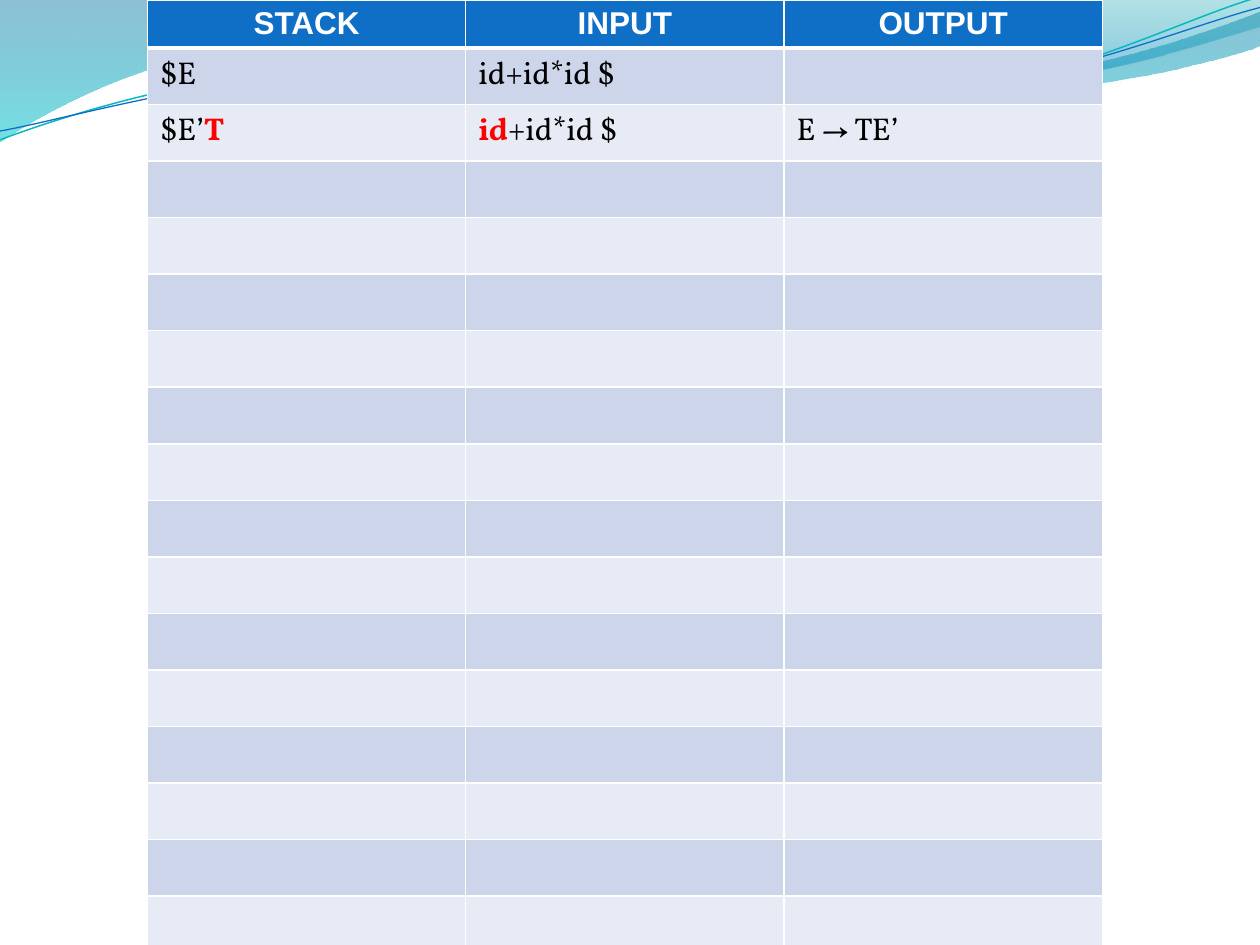
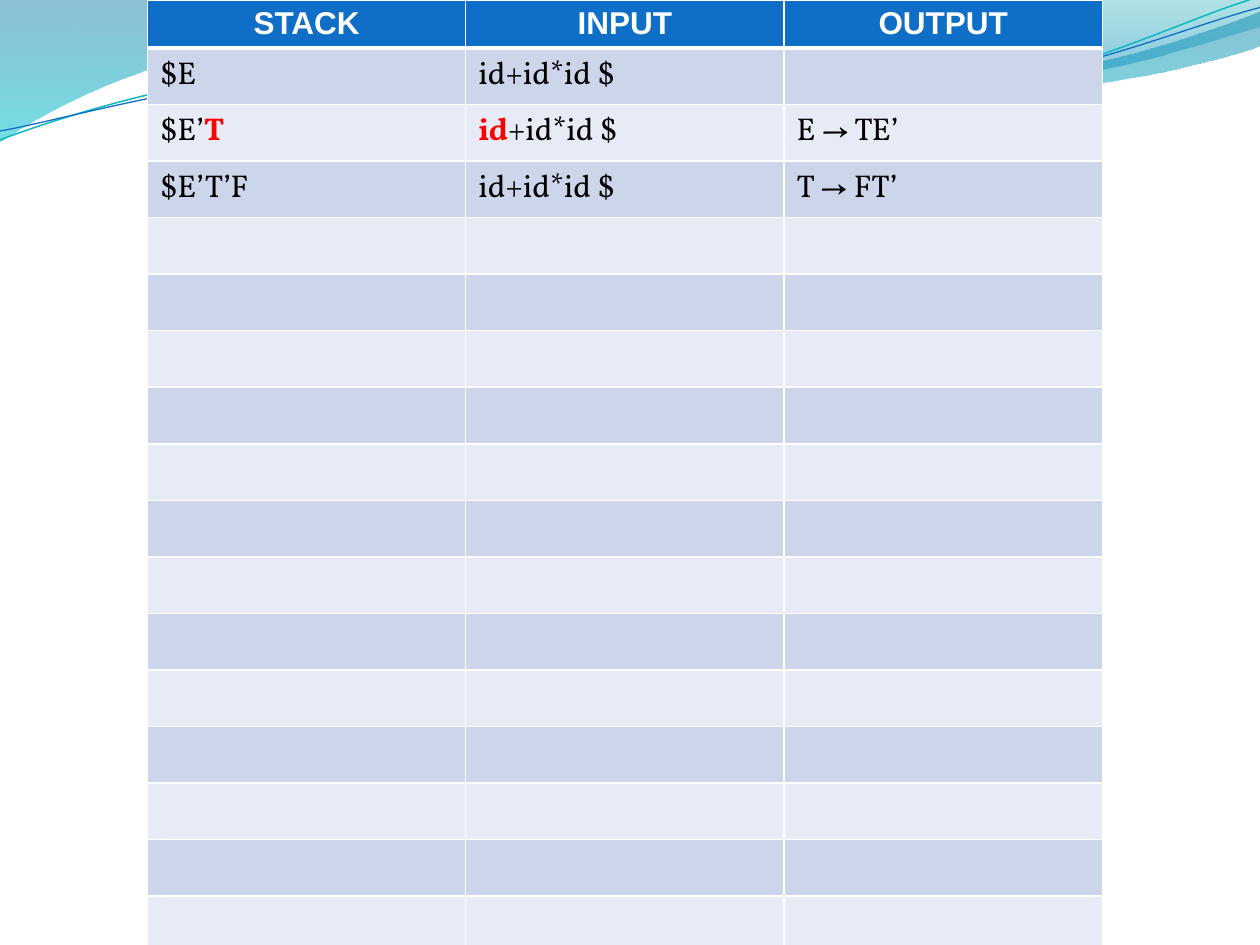
import math

import pptx
import pptx.dml.color
import pptx.enum.text
import pptx.oxml
import pptx.oxml.ns
import pptx.util
from lxml import etree

Inches, Pt = pptx.util.Inches, pptx.util.Pt
qn = pptx.oxml.ns.qn

BLUE, TEAL, WHITE, BLACK, RED = "0F6FC6", "0AB8BF", "FFFFFF", "000000", "FF0000"
BAND_FILLS = ("CCD5EA", "E7EBF5")
BODY_FONT, HEADER_FONT, TEXT_SIZE = "Vollkorn", "Arial", 18

HEADINGS = ("STACK", "INPUT", "OUTPUT")
BODY_ROWS = 17
ROW_HEIGHT = 0.32
TABLE_BOX = (1.17, 0, 7.58)

# Each cell is a list of (text, colour) pieces; red pieces are the matched symbols.
INPUT_START = [("id+id*id $", BLACK)]
PARSE_STEPS = [
    ([("$E", BLACK)], INPUT_START, []),
    ([("$E’", BLACK), ("T", RED)], [("id", RED), ("+id*id $", BLACK)], [("E → TE’", BLACK)]),
    ([("$E’T’F", BLACK)], INPUT_START, [("T → FT’", BLACK)]),
]
STEPS_SHOWN = (2, 3)

# Outlines: a start point, then line ends (2 numbers) or cubic curves (6 numbers).
WIDE_WAVE = [
    (0, -0.01), (4.4, -0.01),
    (4.76, 0.17, 6.64, 0.63, 7.58, 0.63), (8.53, 0.63, 9.58, 0.26, 10, 0.09),
    (10.01, 0.36),
    (9.83, 0.44, 8.7, 0.76, 7.46, 0.75), (6.22, 0.75, 3.82, 0.28, 2.57, 0.34),
    (1.29, 0.35, 0.46, 0.83, -0.01, 1.13),
]
RIGHT_WAVE = [
    (4.79, -0.01), (5.09, 0.11, 6.82, 0.62, 7.69, 0.65),
    (8.56, 0.69, 9.61, 0.32, 10, 0.21), (10, 0),
]
TEAL_STRAND = [
    (0, 1.11), (0.48, 0.93, 1.58, 0.57, 2.77, 0.52),
    (3.95, 0.47, 5.93, 0.89, 7.13, 0.8), (8.33, 0.71, 9.38, 0.15, 9.98, -0.02),
]
BLUE_STRAND = [
    (0, 1.04), (0.47, 0.96, 1.64, 0.61, 2.83, 0.56),
    (4.03, 0.51, 5.97, 0.83, 7.17, 0.75), (8.36, 0.67, 9.41, 0.21, 10, 0.06),
]
STRAND_TILT = -2.7


def rgb(hex_color):
    return pptx.dml.color.RGBColor.from_string(hex_color)


def points_of(segment):
    return list(zip(segment[::2], segment[1::2]))


def turn_outline(outline, degrees, center):
    """Turn every point of an outline clockwise about the center."""
    cos, sin = math.cos(math.radians(degrees)), math.sin(math.radians(degrees))
    center_x, center_y = center
    turned = []
    for segment in outline:
        numbers = []
        for x, y in points_of(segment):
            dx, dy = x - center_x, y - center_y
            numbers += [center_x + dx * cos - dy * sin, center_y + dx * sin + dy * cos]
        turned.append(tuple(numbers))
    return turned


def draw_outline(slide, outline, close):
    """Draw the outline through its end points, then bend the curved segments."""
    start, *ends = [(Inches(segment[-2]), Inches(segment[-1])) for segment in outline]
    builder = slide.shapes.build_freeform(*start)
    builder.add_line_segments(ends, close=close)
    shape = builder.convert_to_shape()
    shape.shadow.inherit = False
    lines = list(shape.element.iter(qn("a:lnTo")))
    for line, segment in zip(lines, outline[1:]):
        if len(segment) == 2:
            continue
        curve = etree.Element(qn("a:cubicBezTo"))
        for x, y in points_of(segment):
            etree.SubElement(curve, qn("a:pt"), x=str(Inches(x) - shape.left),
                             y=str(Inches(y) - shape.top))
        line.getparent().replace(line, curve)
    return shape


def draw_wave(slide, outline, stops):
    """Draw a filled wave; each stop is (position, colour, opacity percent)."""
    wave = draw_outline(slide, outline, close=True)
    wave.fill.gradient()
    wave.fill.gradient_angle = 270
    for stop, (position, color, _) in zip(wave.fill.gradient_stops, stops):
        stop.position = position
        stop.color.rgb = rgb(color)
    for color_element, (_, _, opacity) in zip(wave.element.iter(qn("a:srgbClr")), stops):
        etree.SubElement(color_element, qn("a:alpha"), val=str(opacity * 1000))
    wave.line.fill.background()
    return wave


def draw_strand(slide, outline, color, width, center):
    """Draw a thin curve as a level shape that is tilted about its center."""
    strand = draw_outline(slide, turn_outline(outline, -STRAND_TILT, center), close=False)
    strand.rotation = STRAND_TILT
    strand.fill.background()
    strand.line.color.rgb = rgb(color)
    strand.line.width = Pt(width)
    return strand


def decorate_master(prs, slide):
    """Draw the waves, then move them to the master so that every slide shows them."""
    waves = [
        draw_wave(slide, WIDE_WAVE, [(0, "0074A1", 45), (1, "00C6CF", 55)]),
        draw_wave(slide, RIGHT_WAVE, [(0, "00A1A9", 30), (0.8, "008BBF", 45)]),
        draw_strand(slide, TEAL_STRAND, TEAL, 0.85, center=(4.99, 0.57)),
        draw_strand(slide, BLUE_STRAND, BLUE, 0.75, center=(5, 0.59)),
    ]
    for number, wave in enumerate(waves, start=101):
        wave.element.nvSpPr.cNvPr.set("id", str(number))
        prs.slide_master.shapes.element.append(wave.element)


def write(paragraph, text, font=BODY_FONT, size=TEXT_SIZE, color=BLACK, bold=False, align=None):
    paragraph.alignment = align
    run = paragraph.add_run()
    run.text = text
    run.font.name = font
    run.font.size = Pt(size)
    run.font.bold = bold
    run.font.color.rgb = rgb(color)


def keep_empty_line_height(paragraph):
    """Give a paragraph without text the body font, so its row is as high as the others."""
    end = etree.SubElement(paragraph._p, qn("a:endParaRPr"), sz=str(TEXT_SIZE * 100))
    etree.SubElement(end, qn("a:latin"), typeface=BODY_FONT)


def style_cell(cell, fill, top=1, bottom=1):
    cell.fill.solid()
    cell.fill.fore_color.rgb = rgb(fill)
    properties = cell._tc.get_or_add_tcPr()
    borders = (("a:lnL", 1), ("a:lnR", 1), ("a:lnT", top), ("a:lnB", bottom))
    for index, (side, width) in enumerate(borders):
        border = etree.Element(qn(side), w=str(Pt(width)))
        solid = etree.SubElement(border, qn("a:solidFill"))
        etree.SubElement(solid, qn("a:srgbClr"), val=WHITE)
        properties.insert(index, border)


def add_parse_table(slide, box, steps):
    left, top, width = box
    row_count = BODY_ROWS + 1
    table = slide.shapes.add_table(
        row_count, len(HEADINGS), Inches(left), Inches(top),
        Inches(width), Inches(ROW_HEIGHT * row_count)).table
    table.horz_banding = False
    for row in table.rows:
        row.height = Inches(ROW_HEIGHT)

    for column, heading in enumerate(HEADINGS):
        cell = table.cell(0, column)
        style_cell(cell, BLUE, bottom=3)
        write(cell.text_frame.paragraphs[0], heading, font=HEADER_FONT, color=WHITE,
              bold=True, align=pptx.enum.text.PP_ALIGN.CENTER)

    blank_step = ([],) * len(HEADINGS)
    body = steps + [blank_step] * (BODY_ROWS - len(steps))
    for row, step in enumerate(body, start=1):
        for column, pieces in enumerate(step):
            cell = table.cell(row, column)
            style_cell(cell, BAND_FILLS[(row - 1) % 2], top=3 if row == 1 else 1)
            paragraph = cell.text_frame.paragraphs[0]
            for text, color in pieces:
                write(paragraph, text, color=color, bold=color == RED)
            if not pieces:
                keep_empty_line_height(paragraph)


def main():
    prs = pptx.Presentation()
    prs.slide_width, prs.slide_height = Inches(10), Inches(7.5)
    slides = [prs.slides.add_slide(prs.slide_layouts[6]) for _ in STEPS_SHOWN]
    decorate_master(prs, slides[0])
    for slide, shown in zip(slides, STEPS_SHOWN):
        add_parse_table(slide, TABLE_BOX, PARSE_STEPS[:shown])
    prs.save("out.pptx")


if __name__ == "__main__":
    main()
